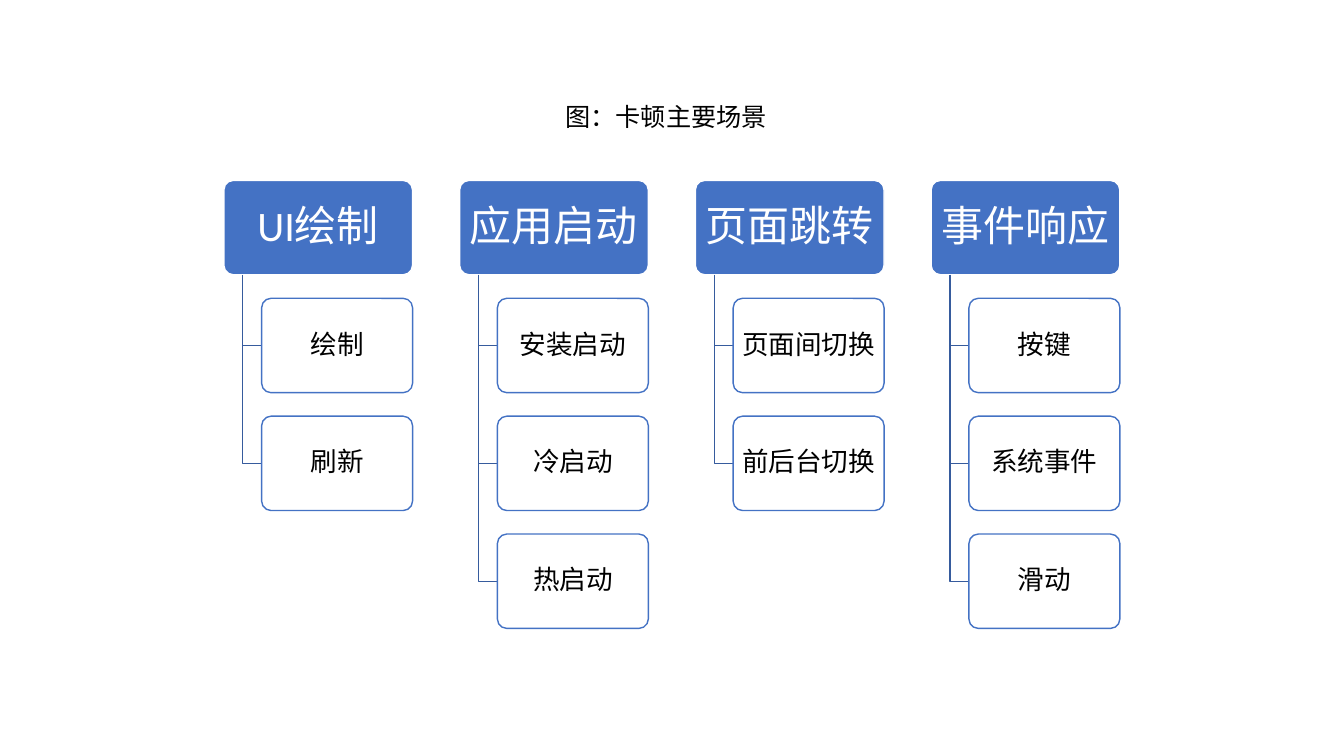
from pptx import Presentation
from pptx.dml.color import RGBColor
from pptx.enum.shapes import MSO_SHAPE
from pptx.enum.text import MSO_ANCHOR, MSO_AUTO_SIZE, PP_ALIGN
from pptx.util import Pt


def color(value):
    """Turn a hex string into an RGB colour."""
    return RGBColor.from_string(value)


class Canvas:
    """Hold the text style and the current slide, and draw elements on it."""

    font = "Calibri"
    line_width = 1

    def __init__(self, slide):
        """Keep the slide to draw on."""
        self.slide = slide

    def add_text(self, frame, text, size, ink):
        """Put one styled run into a text frame and return its paragraph."""
        paragraph = frame.paragraphs[0]
        run = paragraph.add_run()
        run.text = text
        run.font.name, run.font.size = self.font, Pt(size)
        run.font.color.rgb = color(ink)
        return paragraph

    def outline(self, shape, line):
        """Give a shape its line and no shadow."""
        shape.shadow.inherit = False
        shape.line.color.rgb = color(line)
        shape.line.width = Pt(self.line_width)

    def box(self, x, y, width, height, text, size, fill, line, ink, inset):
        """Draw a rounded box with centred text."""
        shape = self.slide.shapes.add_shape(
            MSO_SHAPE.ROUNDED_RECTANGLE, Pt(x), Pt(y), Pt(width), Pt(height))
        shape.adjustments[0] = 0.1
        shape.fill.solid()
        shape.fill.fore_color.rgb = color(fill)
        self.outline(shape, line)
        frame = shape.text_frame
        frame.word_wrap = True
        frame.vertical_anchor = MSO_ANCHOR.MIDDLE
        frame.margin_left = frame.margin_right = Pt(inset)
        frame.margin_top = frame.margin_bottom = Pt(inset * 2 / 3)
        paragraph = self.add_text(frame, text, size, ink)
        paragraph.alignment = PP_ALIGN.CENTER
        paragraph.line_spacing = 0.9

    def elbow(self, x, top, right, bottom, line):
        """Draw a line that goes down and then right."""
        builder = self.slide.shapes.build_freeform(Pt(x), Pt(top))
        builder.add_line_segments(
            [(Pt(x), Pt(bottom)), (Pt(right), Pt(bottom))], close=False)
        shape = builder.convert_to_shape()
        shape.fill.background()
        self.outline(shape, line)

    def caption(self, x, y, width, height, text, size, ink):
        """Add a single-line text box."""
        frame = self.slide.shapes.add_textbox(
            Pt(x), Pt(y), Pt(width), Pt(height)).text_frame
        frame.word_wrap = False
        frame.auto_size = MSO_AUTO_SIZE.SHAPE_TO_FIT_TEXT
        self.add_text(frame, text, size, ink)


BLUE, DARK_BLUE, WHITE, BLACK = "4472C4", "365B9D", "FFFFFF", "000000"
LEFT, TOP, COLUMN_STEP, ROW_STEP = 159.9, 128.9, 168.4, 84.2
HEADER_WIDTH, ITEM_WIDTH, BOX_HEIGHT = 134.8, 107.8, 67.4
SPINE_INDENT, ITEM_INDENT = 13.5, 27

SCENES = {
    "UI绘制": ["绘制", "刷新"],
    "应用启动": ["安装启动", "冷启动", "热启动"],
    "页面跳转": ["页面间切换", "前后台切换"],
    "事件响应": ["按键", "系统事件", "滑动"],
}

deck = Presentation()
deck.slide_width, deck.slide_height = Pt(960), Pt(540)
canvas = Canvas(deck.slides.add_slide(deck.slide_layouts[6]))

for column, (scene, items) in enumerate(SCENES.items()):
    x = LEFT + column * COLUMN_STEP
    canvas.box(x, TOP, HEADER_WIDTH, BOX_HEIGHT, scene, 30,
               BLUE, WHITE, WHITE, 4.2)
    for row, item in enumerate(items, 1):
        y = TOP + row * ROW_STEP
        canvas.elbow(x + SPINE_INDENT, TOP + BOX_HEIGHT,
                     x + ITEM_INDENT, y + BOX_HEIGHT / 2, DARK_BLUE)
        canvas.box(x + ITEM_INDENT, y, ITEM_WIDTH, BOX_HEIGHT, item, 19,
                   WHITE, BLUE, BLACK, 2.7)

canvas.caption(396.7, 69.1, 159.8, 29, "图：卡顿主要场景", 18, BLACK)
deck.save("out.pptx")
